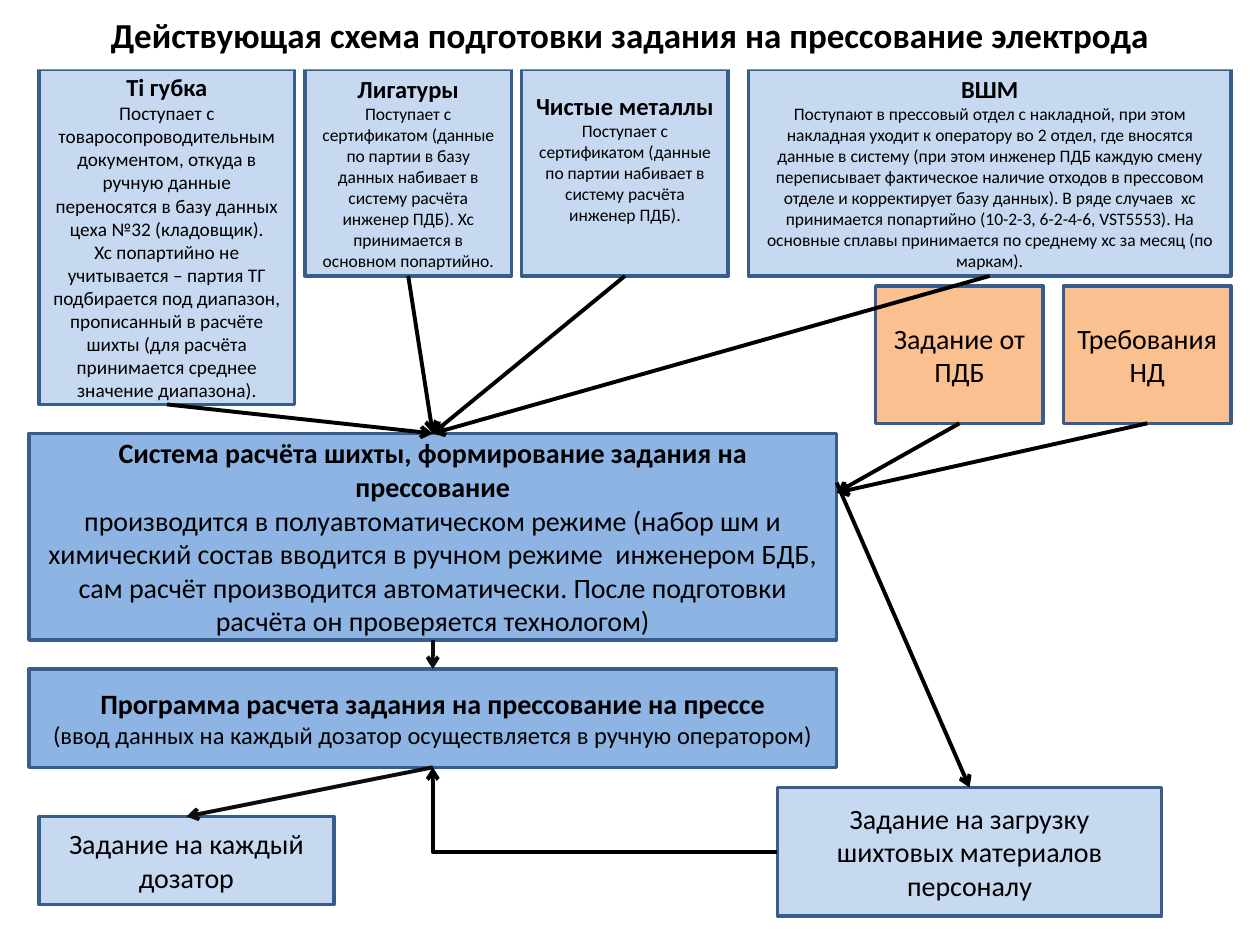
import pptx
import pptx.util
import pptx.dml.color
import pptx.enum.shapes
import pptx.enum.text
import pptx.oxml.ns
import lxml.etree

Inches, Pt = pptx.util.Inches, pptx.util.Pt
RGBColor = pptx.dml.color.RGBColor
qn = pptx.oxml.ns.qn

BLACK = RGBColor(0x00, 0x00, 0x00)
NEAR_BLACK = RGBColor(0x0D, 0x0D, 0x0D)
WHITE = RGBColor(0xFF, 0xFF, 0xFF)
PALE_BLUE = RGBColor(0xC6, 0xD9, 0xF1)
MID_BLUE = RGBColor(0x8E, 0xB4, 0xE3)
ORANGE = RGBColor(0xFA, 0xC0, 0x90)
BORDER = RGBColor(0x38, 0x5D, 0x8A)


def apply(target, values):
    for name, value in values.items():
        setattr(target, name, value)


def top(box):
    return box.left + box.width // 2, box.top


def bottom(box):
    return box.left + box.width // 2, box.top + box.height


def left(box):
    return box.left, box.top + box.height // 2


def right(box, drop):
    """Point on the right edge, the given length below the top."""
    return box.left + box.width, box.top + drop


class Diagram:
    FONT = {"name": "Calibri"}
    FRAME = {
        "word_wrap": True,
        "vertical_anchor": pptx.enum.text.MSO_ANCHOR.MIDDLE,
        "margin_left": Inches(0.1),
        "margin_right": Inches(0.1),
        "margin_top": Inches(0.05),
        "margin_bottom": Inches(0.05),
    }

    def __init__(self, slide):
        self.slide = slide

    def box(self, x, y, width, height, fill, lines, outlined=True, **frame_values):
        """Add a rectangle; lines holds (text, point size, bold) for each paragraph."""
        shape = self.slide.shapes.add_shape(
            pptx.enum.shapes.MSO_SHAPE.RECTANGLE,
            Inches(x), Inches(y), Inches(width), Inches(height))
        shape.shadow.inherit = False
        shape.fill.solid()
        shape.fill.fore_color.rgb = fill
        if outlined:
            shape.line.color.rgb = BORDER
            shape.line.width = Pt(2)
        else:
            shape.line.fill.background()
        frame = shape.text_frame
        apply(frame, {**self.FRAME, **frame_values})
        for index, (text, size, bold) in enumerate(lines):
            paragraph = frame.add_paragraph() if index else frame.paragraphs[0]
            paragraph.alignment = pptx.enum.text.PP_ALIGN.CENTER
            run = paragraph.add_run()
            run.text = text
            apply(run.font, {**self.FONT, "size": Pt(size), "bold": bold})
            run.font.color.rgb = BLACK
        return shape

    def arrow(self, start, end, color=BLACK, bent=False):
        kinds = pptx.enum.shapes.MSO_CONNECTOR
        connector = self.slide.shapes.add_connector(
            kinds.ELBOW if bent else kinds.STRAIGHT, *start, *end)
        connector.line.color.rgb = color
        connector.line.width = Pt(2.25)
        properties = connector._element.spPr
        if bent:
            properties.find(qn("a:prstGeom")).set("prst", "bentConnector2")
        outline = properties.find(qn("a:ln"))
        lxml.etree.SubElement(outline, qn("a:tailEnd"), type="arrow")
        lxml.etree.SubElement(properties, qn("a:effectLst"))
        return connector


def main():
    presentation = pptx.Presentation()
    presentation.slide_width = Inches(10)
    presentation.slide_height = Inches(7.5)
    diagram = Diagram(presentation.slides.add_slide(presentation.slide_layouts[6]))

    # Raw materials
    sponge = diagram.box(0.31, 0.55, 2.03, 2.66, PALE_BLUE, [
        ("Тi губка", 14, True),
        ("Поступает с товаросопроводительным документом, откуда в ручную данные "
         "переносятся в базу данных цеха №32 (кладовщик).", 11, False),
        ("Хс попартийно не учитывается – партия ТГ подбирается под диапазон, "
         "прописанный в расчёте шихты (для расчёта принимается среднее значение "
         "диапазона).", 11, False)])
    alloys = diagram.box(2.42, 0.55, 1.64, 1.64, PALE_BLUE, [
        ("Лигатуры", 14, True),
        ("Поступает с сертификатом (данные по партии в базу данных набивает в "
         "систему расчёта инженер ПДБ). Хс принимается в основном попартийно.",
         10, False)])
    metals = diagram.box(4.14, 0.55, 1.64, 1.64, PALE_BLUE, [
        ("Чистые металлы", 14, True),
        ("Поступает с сертификатом (данные по партии набивает в систему расчёта "
         "инженер ПДБ).", 10, False)], margin_bottom=Inches(0.28))
    scrap = diagram.box(5.94, 0.55, 3.83, 1.64, PALE_BLUE, [
        ("ВШМ", 14, True),
        ("Поступают в прессовый отдел с накладной, при этом накладная уходит к "
         "оператору во 2 отдел, где вносятся данные в систему (при этом инженер "
         "ПДБ каждую смену переписывает фактическое наличие отходов в прессовом "
         "отделе и корректирует базу данных). В ряде случаев  хс принимается "
         "попартийно (10-2-3, 6-2-4-6, VST5553). На основные сплавы принимается "
         "по среднему хс за месяц (по маркам).", 10, False)])

    # Requirements
    order, standards = [
        diagram.box(x, 2.27, 1.33, 1.09, ORANGE, [(text, 16, False)])
        for x, text in ((6.95, "Задание от ПДБ"), (8.44, "Требования НД"))]

    # Calculation
    charge_system = diagram.box(0.23, 3.44, 6.41, 1.64, MID_BLUE, [
        ("Система расчёта шихты, формирование задания на прессование", 16, True),
        ("производится в полуавтоматическом режиме (набор шм и химический состав "
         "вводится в ручном режиме  инженером БДБ, сам расчёт производится "
         "автоматически. После подготовки расчёта он проверяется технологом)",
         16, False)])
    press_program = diagram.box(0.23, 5.31, 6.41, 0.78, MID_BLUE, [
        ("Программа расчета задания на прессование на прессе", 16, True),
        ("(ввод данных на каждый дозатор осуществляется в ручную оператором)",
         14, False)])

    # Resulting tasks
    doser_task = diagram.box(0.31, 6.48, 2.34, 0.7, PALE_BLUE, [
        ("Задание на каждый дозатор", 16, False)])
    loading_task = diagram.box(6.17, 6.25, 3.05, 1.02, PALE_BLUE, [
        ("Задание на загрузку шихтовых материалов персоналу", 16, False)])

    for material in (sponge, alloys, metals, scrap):
        diagram.arrow(bottom(material), top(charge_system))
    for requirement in (order, standards):
        diagram.arrow(bottom(requirement), right(charge_system, Inches(0.47)))
    diagram.arrow(right(charge_system, Inches(0.39)), top(loading_task))
    diagram.arrow(bottom(charge_system), top(press_program), NEAR_BLACK)
    diagram.arrow(bottom(press_program), top(doser_task), NEAR_BLACK)
    diagram.arrow(left(loading_task), bottom(press_program), bent=True)

    diagram.box(0, 0, 10, 0.55, WHITE, [
        ("Действующая схема подготовки задания на прессование электрода", 20, True)],
        outlined=False)
    presentation.save("out.pptx")


if __name__ == "__main__":
    main()
